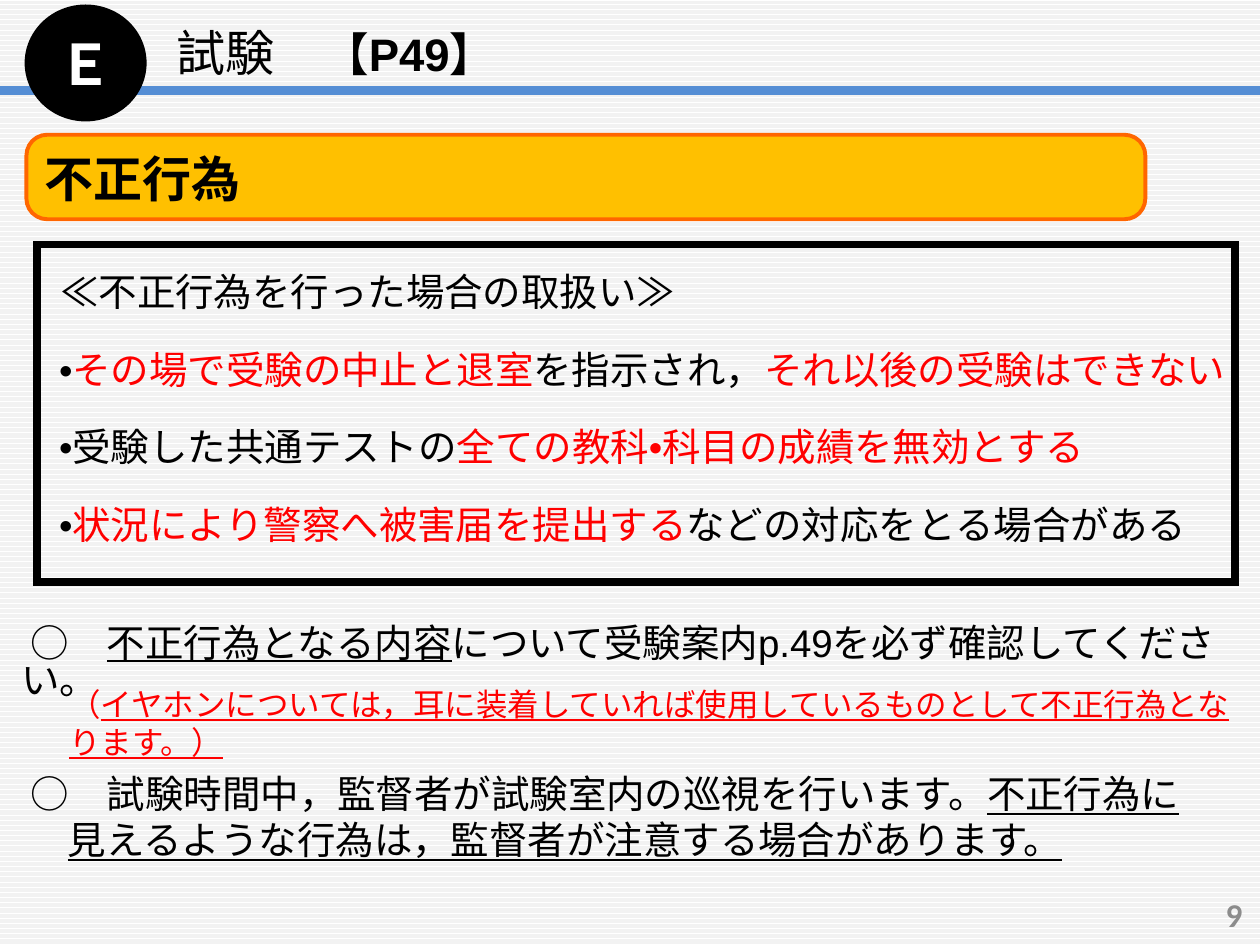
from dataclasses import dataclass

from lxml import etree
from pptx import Presentation
from pptx import util as u
from pptx.dml.color import RGBColor
from pptx.enum import dml, shapes, text
from pptx.oxml.ns import qn


@dataclass(frozen=True)
class Theme:
    black: str = "000000"
    white: str = "FFFFFF"
    red: str = "FF0000"
    blue: str = "558ED5"
    amber: str = "FFC000"
    orange: str = "FF6600"
    grey: str = "8C8C8C"
    stripe: str = "F2F2F2"
    body_font: str = "Arial"
    cjk_font: str = "Noto Sans CJK JP"
    number_font: str = "Calibri"
    letter: int = 32
    heading: int = 28
    page: int = 26
    body: int = 22
    number: int = 19
    note: int = 18


THEME = Theme()
COLUMNS, ROWS = 100, 75
WIDTH, HEIGHT = u.Inches(10), u.Inches(7.5)

BODY = {"name": THEME.body_font, "size": THEME.body, "color": THEME.black}
CJK = {"name": THEME.cjk_font}
RED = {"color": THEME.red}
UNDERLINE = {"underline": True}


def grid(left, top, width, height):
    """Turn columns and rows into slide lengths."""
    column, row = WIDTH / COLUMNS, HEIGHT / ROWS
    return [int(n) for n in (left * column, top * row, width * column, height * row)]


def set_all(target, values):
    for name, value in values.items():
        setattr(target, name, value)


def format_font(font, values):
    values = dict(values)
    font.color.rgb = RGBColor.from_string(values.pop("color"))
    values["size"] = u.Pt(values["size"])
    set_all(font, values)


def add_paragraph(frame, runs, base, first=False, margin=0, indent=0, **spacing):
    """Write runs of (text, format changes); indents are in inches."""
    paragraph = frame.paragraphs[0] if first else frame.add_paragraph()
    set_all(paragraph, spacing)
    if margin or indent:
        properties = paragraph._p.get_or_add_pPr()
        properties.set("marL", str(u.Inches(margin)))
        properties.set("indent", str(u.Inches(indent)))
    for words, changes in runs:
        for number, line in enumerate(words.split("\n")):
            if number:
                paragraph.add_line_break()
            run = paragraph.add_run()
            run.text = line
            values = {**base, **changes}
            format_font(run.font, values)
            east_asian = etree.SubElement(run._r.get_or_add_rPr(), qn("a:ea"))
            east_asian.set("typeface", values["name"])


def add_box(slide, place, **frame_values):
    frame = slide.shapes.add_textbox(*grid(*place)).text_frame
    set_all(frame, {"word_wrap": True, **frame_values})
    return frame


def add_panel(slide, kind, place, fill, line, weight):
    panel = slide.shapes.add_shape(kind, *grid(*place))
    panel.shadow.inherit = False
    if fill:
        panel.fill.solid()
        panel.fill.fore_color.rgb = RGBColor.from_string(fill)
    else:
        panel.fill.background()
    panel.line.color.rgb = RGBColor.from_string(line)
    panel.line.width = u.Pt(weight)
    # Sharp corners
    join = etree.SubElement(panel.line._get_or_add_ln(), qn("a:miter"))
    join.set("lim", "800000")
    return panel


def add_rule(slide, row, color, weight):
    left, top, width, _ = grid(0, row, COLUMNS, 0)
    rule = slide.shapes.add_connector(
        shapes.MSO_CONNECTOR.STRAIGHT, left, top, left + width, top)
    rule.line.color.rgb = RGBColor.from_string(color)
    rule.line.width = u.Pt(weight)
    etree.SubElement(rule._element.spPr, qn("a:effectLst"))


def paint_background(slide):
    fill = slide.background.fill
    fill.patterned()
    fill.pattern = dml.MSO_PATTERN.DARK_HORIZONTAL
    fill.fore_color.rgb = RGBColor.from_string(THEME.stripe)
    fill.back_color.rgb = RGBColor.from_string(THEME.white)


def add_header(slide):
    add_rule(slide, 7.2, THEME.blue, 5)

    # Section letter
    badge = add_panel(slide, shapes.MSO_SHAPE.OVAL, (2.1, 0.5, 9.4, 9),
                      THEME.black, THEME.black, 2)
    style = {**CJK, "size": THEME.letter, "color": THEME.white, "bold": True}
    add_paragraph(badge.text_frame, [("Ｅ", {})], style, first=True,
                  alignment=text.PP_ALIGN.CENTER)

    # Title
    title = slide.shapes.title
    set_all(title, dict(zip(("left", "top", "width", "height"),
                            grid(13, 1.1, 37.2, 6.1))))
    set_all(title.text_frame, {"word_wrap": False,
                               "auto_size": text.MSO_AUTO_SIZE.NONE,
                               "vertical_anchor": text.MSO_ANCHOR.MIDDLE})
    style = {**CJK, "size": THEME.heading, "color": THEME.black}
    page = {"name": THEME.body_font, "size": THEME.page, "bold": True}
    add_paragraph(title.text_frame, [("試験　", {}), ("【P49】", page)], style,
                  first=True, alignment=text.PP_ALIGN.LEFT)


def add_banner(slide):
    banner = add_panel(slide, shapes.MSO_SHAPE.ROUNDED_RECTANGLE,
                       (2.1, 10.7, 88.8, 6.7), THEME.amber, THEME.orange, 2.25)
    banner.adjustments[0] = 0.245
    banner.text_frame.vertical_anchor = text.MSO_ANCHOR.BOTTOM
    add_paragraph(banner.text_frame, [("不正行為", {})],
                  {**BODY, "size": THEME.heading, "bold": True}, first=True,
                  alignment=text.PP_ALIGN.LEFT)


def add_body(slide):
    frame = add_box(slide, (0.7, 21.5, 99.5, 46))
    after = {"space_after": u.Pt(6)}

    # Consequences inside the frame
    add_paragraph(frame, [("≪不正行為を行った場合の取扱い≫", {})], BODY,
                  first=True, margin=0.31, line_spacing=0.8, **after)
    consequences = [
        [("•", {}), ("その場で受験の中止と退室", RED), ("を指示され，", {}),
         ("それ以後の受験はできない", RED)],
        [("•受験した共通テストの", {}), ("全ての教科•科目の成績を無効とする", RED)],
        [("•", {}), ("状況により警察へ被害届を提出する", RED),
         ("などの対応をとる場合がある", {})],
    ]
    for runs in consequences:
        add_paragraph(frame, runs, BODY, margin=0.3, space_before=u.Pt(12), **after)

    # Reminders below the frame
    add_paragraph(frame, [("○　", CJK), ("不正行為となる内容", UNDERLINE),
                          ("について受験案内p.49を必ず確認してください。", {})],
                  BODY, indent=0.07, line_spacing=0.8, space_before=u.Pt(40), **after)
    warning = {**CJK, **UNDERLINE}
    add_paragraph(frame, [("○　", CJK),
                          ("試験時間中，監督者が試験室内の巡視を行います。", {}),
                          ("不正行為に\n", warning),
                          ("見えるような行為は，監督者が注意する場合があります。", warning)],
                  BODY, margin=0.37, indent=-0.3, space_before=u.Pt(33), **after)

    # Earphone note
    note = add_box(slide, (4.5, 53.9, 95.1, 4))
    add_paragraph(note, [("（", {}),
                         ("イヤホンについては，耳に装着していれば使用しているものとして"
                          "不正行為となります。）", UNDERLINE)],
                  {**BODY, **RED, "size": THEME.note}, first=True)


def add_page_number(slide):
    frame = add_box(slide, (76.3, 70.6, 23.3, 4),
                    vertical_anchor=text.MSO_ANCHOR.MIDDLE)
    style = {"name": THEME.number_font, "size": THEME.number,
             "color": THEME.grey, "bold": True}
    add_paragraph(frame, [("9", {})], style, first=True,
                  alignment=text.PP_ALIGN.RIGHT)


def main():
    presentation = Presentation()
    set_all(presentation, {"slide_width": WIDTH, "slide_height": HEIGHT})
    slide = presentation.slides.add_slide(presentation.slide_layouts[5])
    paint_background(slide)
    add_header(slide)
    add_page_number(slide)
    add_panel(slide, shapes.MSO_SHAPE.RECTANGLE, (2.9, 19.4, 95.1, 26.8),
              None, THEME.black, 4.5)
    add_banner(slide)
    add_body(slide)
    presentation.save("out.pptx")


if __name__ == "__main__":
    main()
